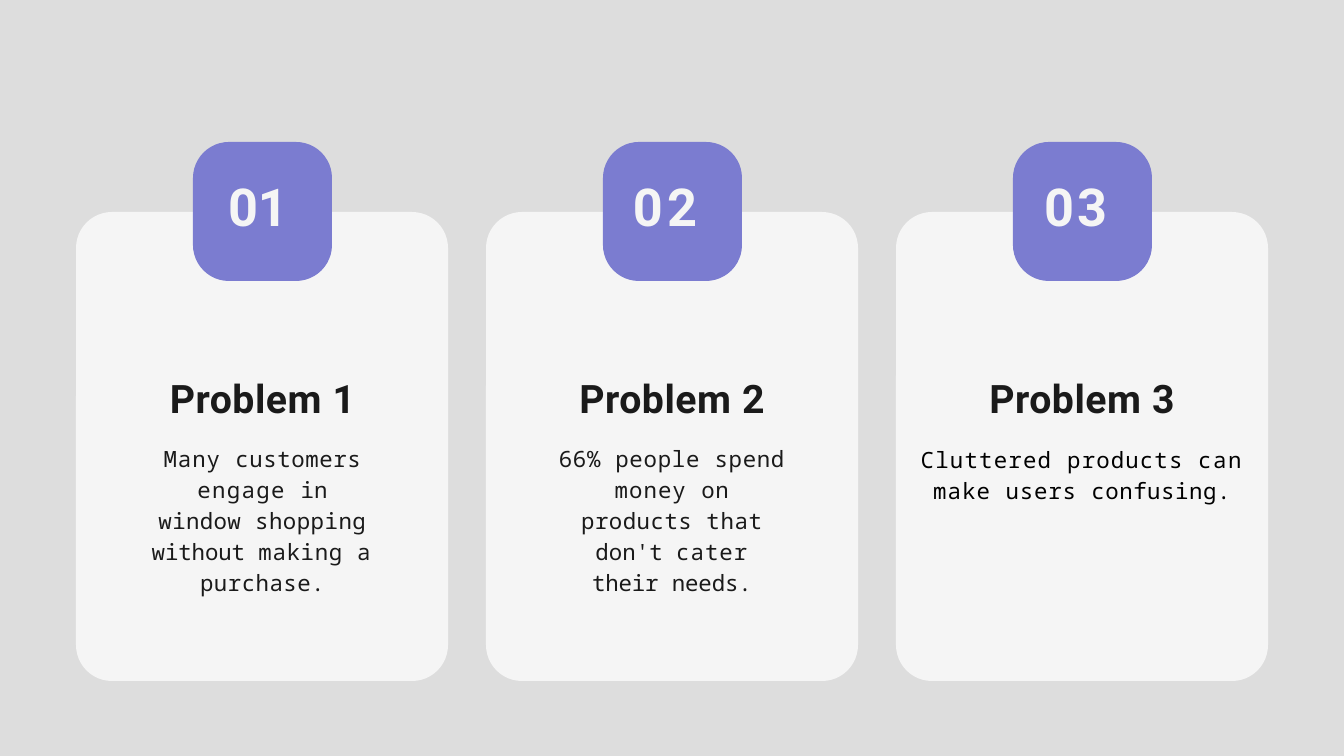
from pptx import Presentation
from pptx import util as u
from pptx.dml.color import RGBColor
from pptx.enum import shapes, text

PX = 914400 / 67.2  # EMU per px
COLORS = {"page": "DDDDDD", "card": "F5F5F5", "badge": "7B7CD0",
          "heading": "1A1A1A", "black": "000000"}
CARD_LEFT, CARD_TOP, CARD_W, CARD_H, PITCH = 76, 212, 372, 469, 410
BADGE_TOP, BADGE_SIZE, RADIUS = 142, 139, 36

# Letter spacing follows each word, in points
PROBLEMS = [
    {"number": "01", "number_box": (228, 69), "number_spacing": -0.2,
     "digit_spacing": -4.2, "width": 225, "height": 192, "gap": 21.5, "color": "heading",
     "body": "Many customers engage in window shopping without making a purchase.",
     "spacings": [1, 0.6, 1.4, 0, 0.4, 0.5, -0.1, 0.7, 2.9, 0.5]},
    {"number": "02", "number_box": (633, 78), "number_spacing": 4.5,
     "digit_spacing": 3, "width": 230, "height": 192, "gap": 21.5, "color": "heading",
     "body": "66% people spend money on products that don't cater their needs.",
     "spacings": [0.7, 0.8, 0.7, 1.1, 0.5, 0.5, 0.7, 0, 1.1, -0.2, -0.1]},
    {"number": "03", "number_box": (1044, 76), "number_spacing": 3.5,
     "digit_spacing": 1.4, "width": 344, "height": 132, "gap": 22.9, "color": "black",
     "body": "Cluttered products can make users confusing.",
     "spacings": [1.3, 1.2, 1.7, 1.1, 0.9, 0.6]},
]


def px(value):
    return u.Emu(round(value * PX))


def rgb(name):
    return RGBColor.from_string(COLORS[name])


def add_panel(slide, left, top, width, height, color):
    panel = slide.shapes.add_shape(shapes.MSO_SHAPE.ROUNDED_RECTANGLE,
                                   px(left), px(top), px(width), px(height))
    panel.adjustments[0] = RADIUS / min(width, height)
    panel.shadow.inherit = False
    panel.fill.solid()
    panel.fill.fore_color.rgb = rgb(color)
    panel.line.fill.background()


def place_text(box, left, top, width, height):
    box.left, box.top, box.width, box.height = map(px, (left, top, width, height))
    frame = box.text_frame
    frame.margin_left = frame.margin_right = frame.margin_bottom = 0
    frame.margin_top = px(1)
    frame.vertical_anchor = text.MSO_ANCHOR.TOP
    frame.word_wrap = True
    frame.auto_size = text.MSO_AUTO_SIZE.SHAPE_TO_FIT_TEXT
    return frame


def format_run(run, font, size, color, spacing, bold=False):
    run.font.name = font
    run.font.size = u.Pt(size)
    run.font.bold = bold
    run.font.color.rgb = rgb(color)
    run.font._element.set("spc", str(round(spacing * 100)))


def set_paragraph(paragraph, align, before, line_spacing):
    paragraph.alignment = align
    paragraph.space_before = u.Pt(before)
    paragraph.line_spacing = line_spacing


def write_words(paragraph, content, spacings, **style):
    words = content.split(" ")
    for i, (word, spacing) in enumerate(zip(words, spacings)):
        run = paragraph.add_run()
        run.text = word if i == len(words) - 1 else word + " "
        format_run(run, spacing=spacing, **style)


def add_problem(slide, center, index, problem):
    box = slide.shapes.add_textbox(0, 0, 0, 0)
    frame = place_text(box, center - problem["width"] // 2, 373,
                       problem["width"], problem["height"])
    heading, body = frame.paragraphs[0], frame.add_paragraph()
    set_paragraph(heading, text.PP_ALIGN.CENTER, 1, 1.0)
    write_words(heading, f"Problem {index}", [0.6, problem["digit_spacing"]],
                font="Roboto", size=42, color="heading", bold=True)
    set_paragraph(body, text.PP_ALIGN.CENTER, problem["gap"], 1.15)
    write_words(body, problem["body"], problem["spacings"],
                font="Noto Sans Mono", size=24, color=problem["color"])


def write_number(box, problem):
    left, width = problem["number_box"]
    frame = place_text(box, left, 173, width, 65)
    frame.text = problem["number"]
    number = frame.paragraphs[0]
    set_paragraph(number, text.PP_ALIGN.LEFT, 1, 1.0)
    format_run(number.runs[0], "Roboto", 56, "card", problem["number_spacing"], bold=True)


def main():
    prs = Presentation()
    prs.slide_width, prs.slide_height = px(1344), px(756)
    slide = prs.slides.add_slide(prs.slide_layouts[5])
    slide.background.fill.solid()
    slide.background.fill.fore_color.rgb = rgb("page")
    centers = [CARD_LEFT + CARD_W // 2 + i * PITCH for i in range(len(PROBLEMS))]

    # Cards with their badges
    for center in centers:
        add_panel(slide, center - CARD_W // 2, CARD_TOP, CARD_W, CARD_H, "card")
        add_panel(slide, center - BADGE_SIZE // 2, BADGE_TOP, BADGE_SIZE, BADGE_SIZE, "badge")

    # Headings and descriptions
    for index, (center, problem) in enumerate(zip(centers, PROBLEMS), start=1):
        add_problem(slide, center, index, problem)

    # Numbers: the first is the slide title, raised above its badge
    title = slide.shapes.title
    slide.shapes._spTree.append(title._element)
    write_number(title, PROBLEMS[0])
    for problem in PROBLEMS[1:]:
        write_number(slide.shapes.add_textbox(0, 0, 0, 0), problem)

    prs.save("out.pptx")


if __name__ == "__main__":
    main()
